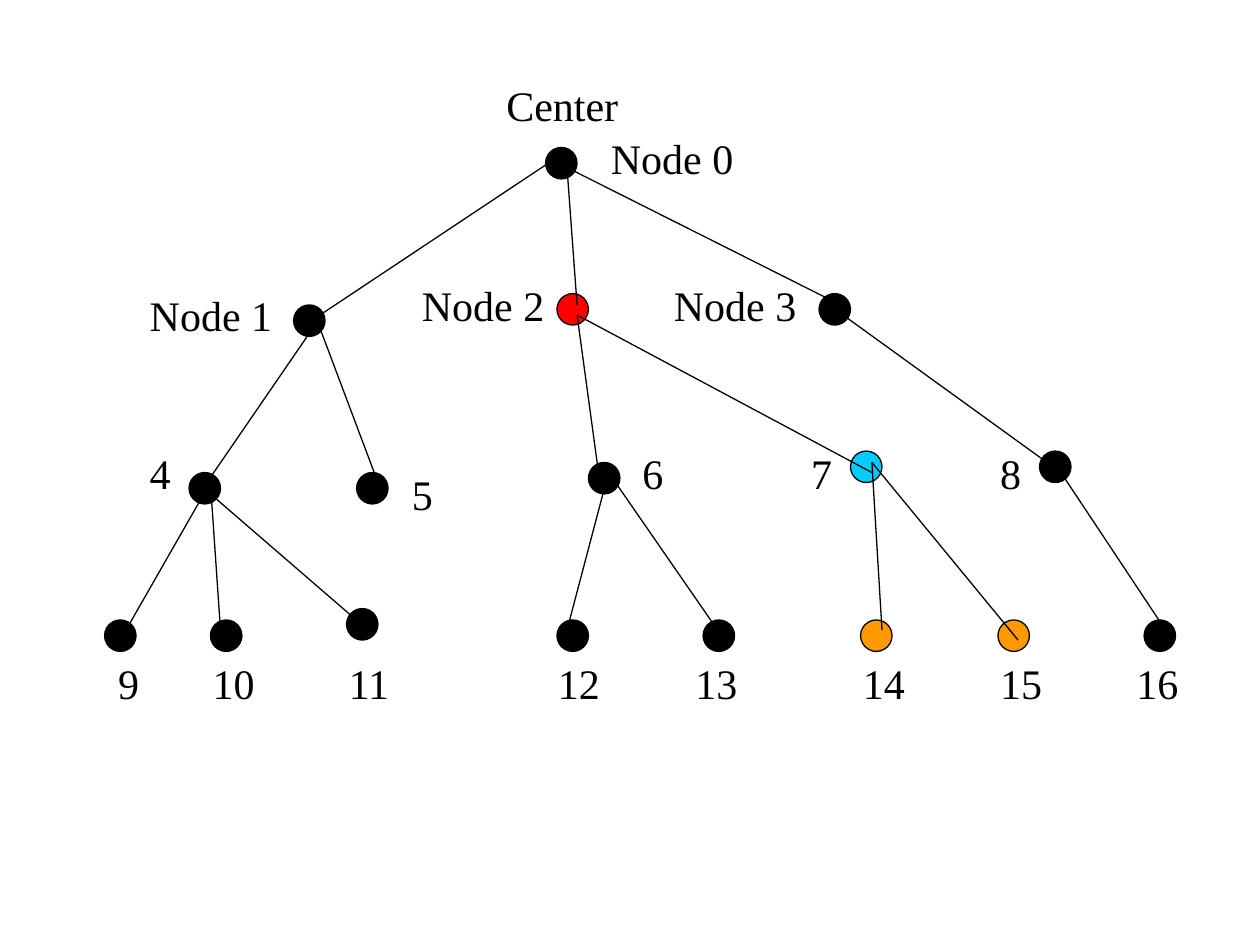
"""Build a slide with a tree of numbered nodes around a center."""
from lxml import etree
from pptx import Presentation
from pptx import util as u
from pptx.dml.color import RGBColor
from pptx.enum import shapes, text
from pptx.oxml import ns

BLACK = RGBColor(0, 0, 0)
RED = RGBColor(0xFF, 0, 0)
BLUE = RGBColor(0, 0xCC, 0xFF)
GOLD = RGBColor(0xFF, 0x99, 0)
SIZE = 0.25
HIGH = 0.5
FONT = {"name": "Times New Roman", "size": u.Pt(24)}
FRAME = {"word_wrap": False, "auto_size": text.MSO_AUTO_SIZE.SHAPE_TO_FIT_TEXT}

NODES = [
    (4.33, 1.17), (2.33, 2.42), (4.42, 2.33), (6.5, 2.33),
    (1.5, 3.75), (2.83, 3.75), (4.67, 3.67), (6.75, 3.58), (8.25, 3.58),
    (0.83, 4.92), (1.67, 4.92), (2.75, 4.83), (4.42, 4.92),
    (5.58, 4.92), (6.83, 4.92), (7.92, 4.92), (9.08, 4.92),
]
FILLS = {2: RED, 7: BLUE, 14: GOLD, 15: GOLD}

EDGES = [
    (4.42, 1.25, 2.42, 2.58), (4.5, 1.33, 4.58, 2.42), (4.5, 1.33, 6.67, 2.42),
    (2.5, 2.58, 1.58, 3.92), (3, 3.83, 2.5, 2.5),
    (4.58, 2.5, 4.75, 3.75), (6.92, 3.75, 4.58, 2.5), (6.58, 2.42, 8.42, 3.75),
    (1.67, 3.83, 1, 5), (1.67, 3.83, 1.75, 5), (1.67, 3.92, 2.92, 5),
    (4.83, 3.75, 4.5, 5), (4.83, 3.75, 5.75, 5.08),
    (6.92, 3.67, 7, 5), (6.92, 3.67, 8.08, 5.08), (8.42, 3.75, 9.25, 5),
]

LABELS = {
    1.09: [("Center", 3.92, 0.58)],
    1.17: [("Node 0", 4.75, 1), ("Node 1", 1.09, 2.25),
           ("Node 2", 3.25, 2.17), ("Node 3", 5.25, 2.17)],
    0.36: [("4", 1.09, 3.5), ("5", 3.17, 3.67), ("6", 5, 3.5),
           ("7", 6.34, 3.5), ("8", 7.84, 3.5), ("9", 0.84, 5.17)],
    0.53: [("10", 1.59, 5.17), ("11", 2.67, 5.17), ("12", 4.33, 5.17),
           ("13", 5.42, 5.17), ("14", 6.75, 5.17), ("15", 7.84, 5.17),
           ("16", 8.92, 5.17)],
}


def apply(item, values):
    for key, value in values.items():
        setattr(item, key, value)


def ink(line):
    line.color.rgb = BLACK
    line.width = u.Pt(0.75)


def add_node(slide, spot, fill):
    box = [u.Inches(n) for n in (*spot, SIZE, SIZE)]
    node = slide.shapes.add_shape(shapes.MSO_SHAPE.OVAL, *box)
    node.shadow.inherit = False
    node.fill.solid()
    node.fill.fore_color.rgb = fill
    ink(node.line)


def add_edge(slide, ends):
    edge = slide.shapes.add_connector(
        shapes.MSO_CONNECTOR.STRAIGHT, *[u.Inches(n) for n in ends])
    ink(edge.line)
    etree.SubElement(edge._element.spPr, ns.qn("a:effectLst"))


def add_label(slide, words, left, top, wide):
    box = [u.Inches(n) for n in (left, top, wide, HIGH)]
    frame = slide.shapes.add_textbox(*box).text_frame
    apply(frame, FRAME)
    run = frame.paragraphs[0].add_run()
    run.text = words
    apply(run.font, FONT)
    run.font.color.rgb = BLACK


def main():
    deck = Presentation()
    deck.slide_width, deck.slide_height = u.Inches(10), u.Inches(7.5)
    slide = deck.slides.add_slide(deck.slide_layouts[6])
    for index, spot in enumerate(NODES):
        add_node(slide, spot, FILLS.get(index, BLACK))
    for ends in EDGES:
        add_edge(slide, ends)
    for wide, group in LABELS.items():
        for words, left, top in group:
            add_label(slide, words, left, top, wide)
    deck.save("out.pptx")


if __name__ == "__main__":
    main()
